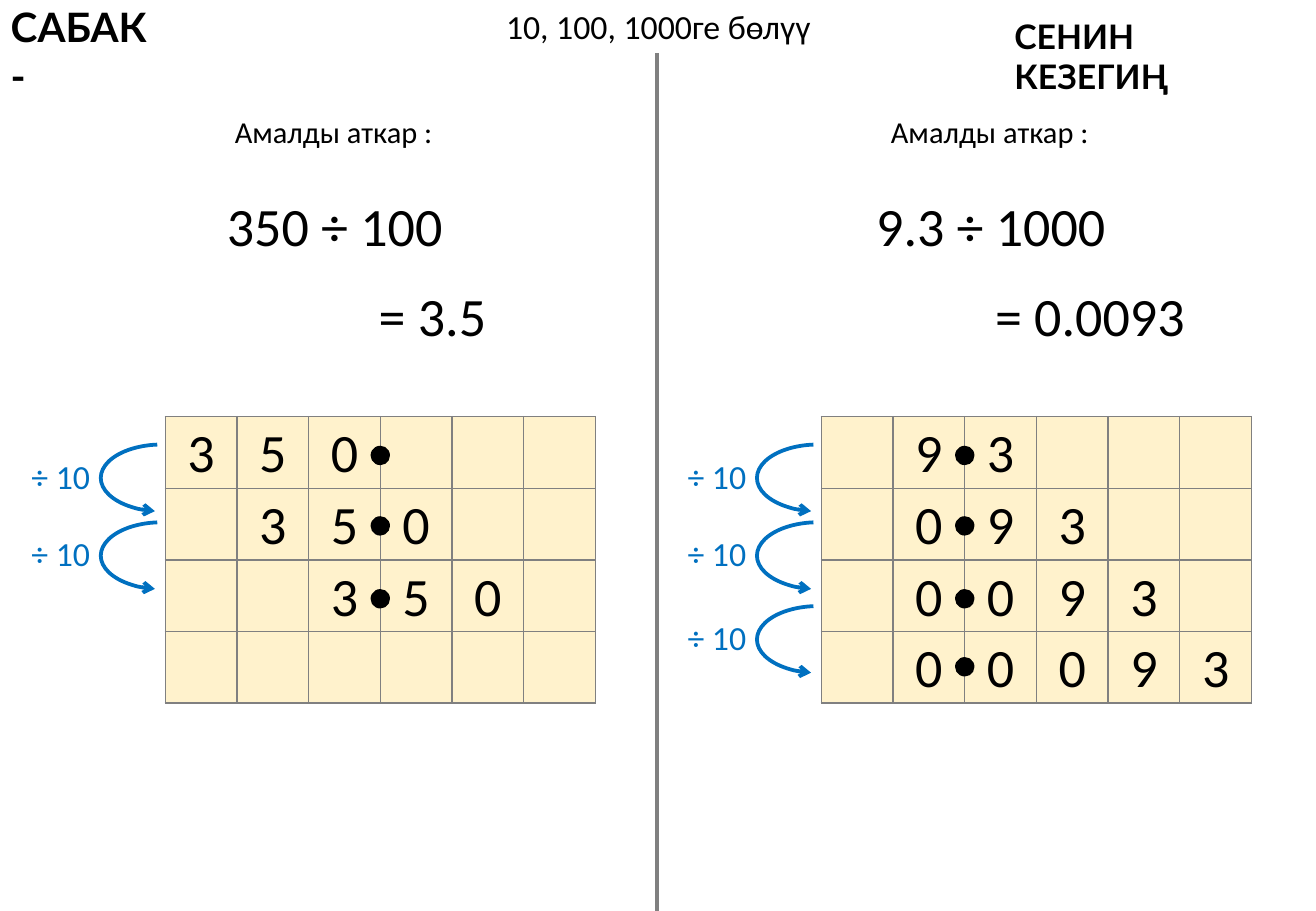
import dataclasses

import lxml.etree
import pptx
import pptx.dml.color
import pptx.enum.shapes
import pptx.enum.text
import pptx.oxml
import pptx.oxml.ns
import pptx.util

Inches = pptx.util.Inches
Pt = pptx.util.Pt
RGB = pptx.dml.color.RGBColor.from_string
ALIGN = pptx.enum.text.PP_ALIGN
SHAPE = pptx.enum.shapes.MSO_SHAPE
qn = pptx.oxml.ns.qn


@dataclasses.dataclass
class Theme:
    body_font: str = "Calibri"
    head_font: str = "Lato"
    ink: str = "000000"
    accent: str = "0070C0"
    rule: str = "808080"
    cell: str = "FFF2CC"
    small: int = 18
    label: int = 20
    heading: int = 24
    number: int = 32
    stroke: float = 2.25
    border: float = 1


class LessonSlide:
    def __init__(self, prs, theme):
        self.theme = theme
        self.slide = prs.slides.add_slide(prs.slide_layouts[5])
        self.shapes = self.slide.shapes

    def set_text(self, sp, text, size, color=None, font=None, bold=False,
                 align=ALIGN.CENTER, wrap=False):
        tf = sp.text_frame
        tf.word_wrap = wrap
        tf.vertical_anchor = pptx.enum.text.MSO_ANCHOR.TOP
        tf.auto_size = pptx.enum.text.MSO_AUTO_SIZE.SHAPE_TO_FIT_TEXT
        p = tf.paragraphs[0]
        p.alignment = align
        r = p.add_run()
        r.text = text
        r.font.size = Pt(size)
        r.font.name = font or self.theme.body_font
        r.font.bold = bold
        r.font.color.rgb = RGB(color or self.theme.ink)

    def title(self, text, x, y, w, h):
        sp = self.shapes.title
        sp.left, sp.top, sp.width, sp.height = map(Inches, (x, y, w, h))
        self.set_text(sp, text, self.theme.label)

    def text(self, text, x, y, w, h, size, **style):
        sp = self.shapes.add_textbox(Inches(x), Inches(y), Inches(w), Inches(h))
        self.set_text(sp, text, size, **style)

    def heading(self, text, x, y, w, h, size):
        self.text(text, x, y, w, h, size, font=self.theme.head_font, bold=True,
                  align=ALIGN.LEFT, wrap=True)

    def divider(self, x, top, bottom):
        line = self.shapes.add_connector(
            pptx.enum.shapes.MSO_CONNECTOR.STRAIGHT,
            Inches(x), Inches(top), Inches(x), Inches(bottom))
        line.line.color.rgb = RGB(self.theme.rule)
        line.line.width = Pt(self.theme.stroke)
        lxml.etree.SubElement(line._element.spPr, qn("a:effectLst"))

    def grid(self, x, y, rows, cols, size):
        tbl = self.shapes.add_table(rows, cols, Inches(x), Inches(y),
                                    Inches(cols * size), Inches(rows * size)).table
        tbl.first_row = tbl.horz_banding = False
        for cell in tbl.iter_cells():
            tc_pr = cell._tc.get_or_add_tcPr()
            for side in ("lnL", "lnR", "lnT", "lnB"):
                ln = lxml.etree.SubElement(tc_pr, qn(f"a:{side}"),
                                           w=str(Pt(self.theme.border)))
                fill = lxml.etree.SubElement(ln, qn("a:solidFill"))
                lxml.etree.SubElement(fill, qn("a:srgbClr"), val=self.theme.rule)
            cell.fill.solid()
            cell.fill.fore_color.rgb = RGB(self.theme.cell)

    def dot(self, x, y, size):
        sp = self.shapes.add_shape(SHAPE.OVAL, Inches(x), Inches(y),
                                   Inches(size), Inches(size))
        sp.shadow.inherit = False
        sp.fill.solid()
        sp.fill.fore_color.rgb = RGB(self.theme.ink)
        sp.line.fill.background()

    def arc(self, x, y, w, h):
        sp = self.shapes.add_shape(SHAPE.ARC, Inches(x), Inches(y),
                                   Inches(w), Inches(h))
        sp.shadow.inherit = False
        sp.adjustments[0], sp.adjustments[1] = 60.745, 157.619
        sp.fill.background()
        sp.line.color.rgb = RGB(self.theme.accent)
        sp.line.width = Pt(self.theme.stroke)
        ln = sp._element.spPr.find(qn("a:ln"))
        lxml.etree.SubElement(ln, qn("a:headEnd"), type="arrow")

    def panel(self, left, task, answer, answer_x, answer_w, rows, point_col):
        th = self.theme
        self.text("Амалды аткар :", left + 0.46, 0.88, 1.85, 0.4, th.small)
        self.text(task, left + 0.34, 1.54, 2.11, 0.64, th.number)
        self.text(answer, answer_x, 2.28, answer_w, 0.64, th.number)
        self.grid(left, GRID_TOP, 4, 6, CELL)
        for i, (start, digits) in enumerate(rows):
            for col, digit in enumerate(digits, start):
                self.text(digit, left + 0.08 + col * CELL, GRID_TOP - 0.03 + i * CELL,
                          0.43, 0.64, th.number)
            self.dot(left + point_col * CELL - 0.08, DOT_TOPS[i], 0.16)
        for y in ARC_TOPS[:len(rows) - 1]:
            self.arc(left - 0.53, y, 1, 0.55)
            self.text("÷ 10", left - 1.21, y + 0.04, 0.69, 0.44, th.label,
                      color=th.accent, align=ALIGN.RIGHT)


CELL = 0.59
GRID_TOP = 3.43
DOT_TOPS = (3.67, 4.25, 4.85, 5.41)
ARC_TOPS = (3.66, 4.3, 4.99)


def main():
    prs = pptx.Presentation()
    prs.slide_width, prs.slide_height = Inches(10.83), Inches(7.5)
    theme = Theme()
    s = LessonSlide(prs, theme)
    s.title("10, 100, 1000ге бөлүү", 4.05, 0, 2.74, 0.44)
    s.divider(5.41, 0.44, 7.5)
    s.heading("САБАК -", -0.01, -0.03, 1.44, 0.5, theme.heading)
    s.heading("СЕНИН КЕЗЕГИҢ", 8.25, 0.08, 2.43, 0.44, theme.label)
    s.panel(1.36, "350 ÷ 100", "= 3.5", 3.01, 1.1,
            [(0, "350"), (1, "350"), (2, "350")], 3)
    s.panel(6.76, "9.3 ÷ 1000", "= 0.0093", 8.08, 1.78,
            [(1, "93"), (1, "093"), (1, "0093"), (1, "00093")], 2)
    prs.save("out.pptx")


if __name__ == "__main__":
    main()
